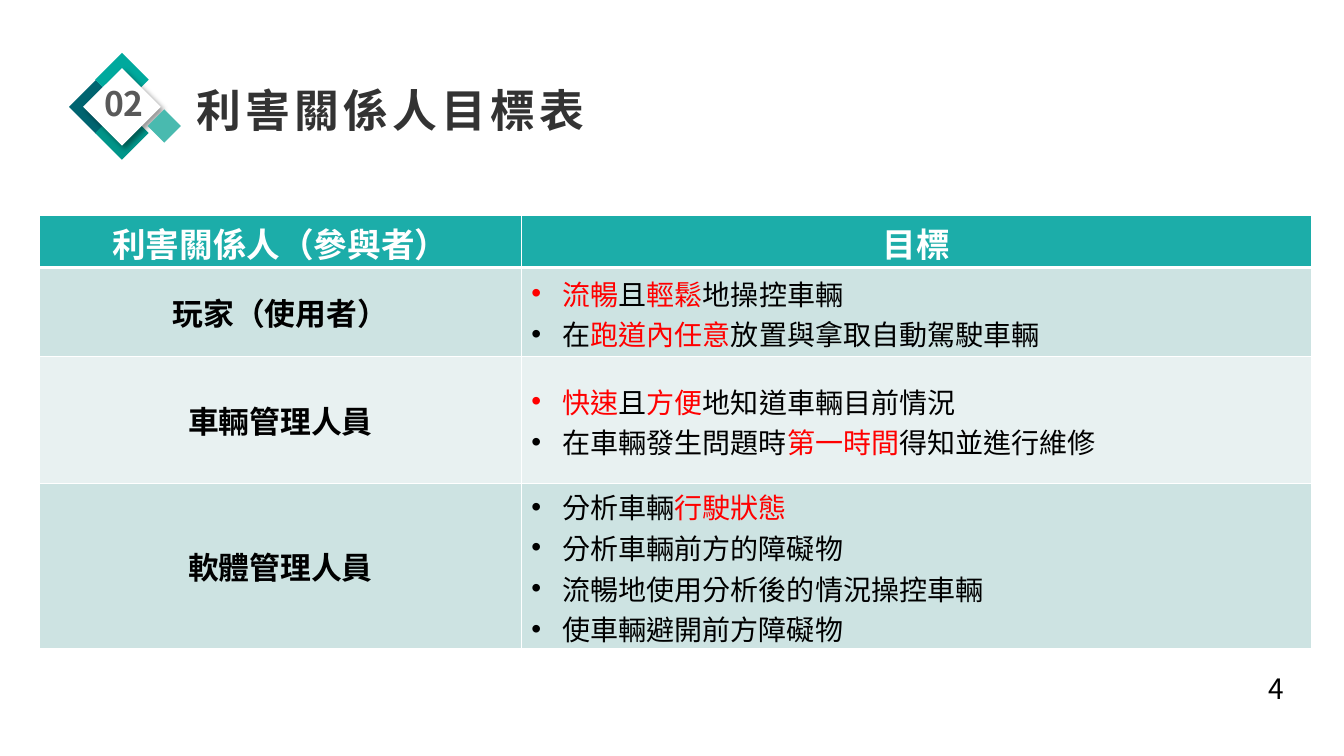
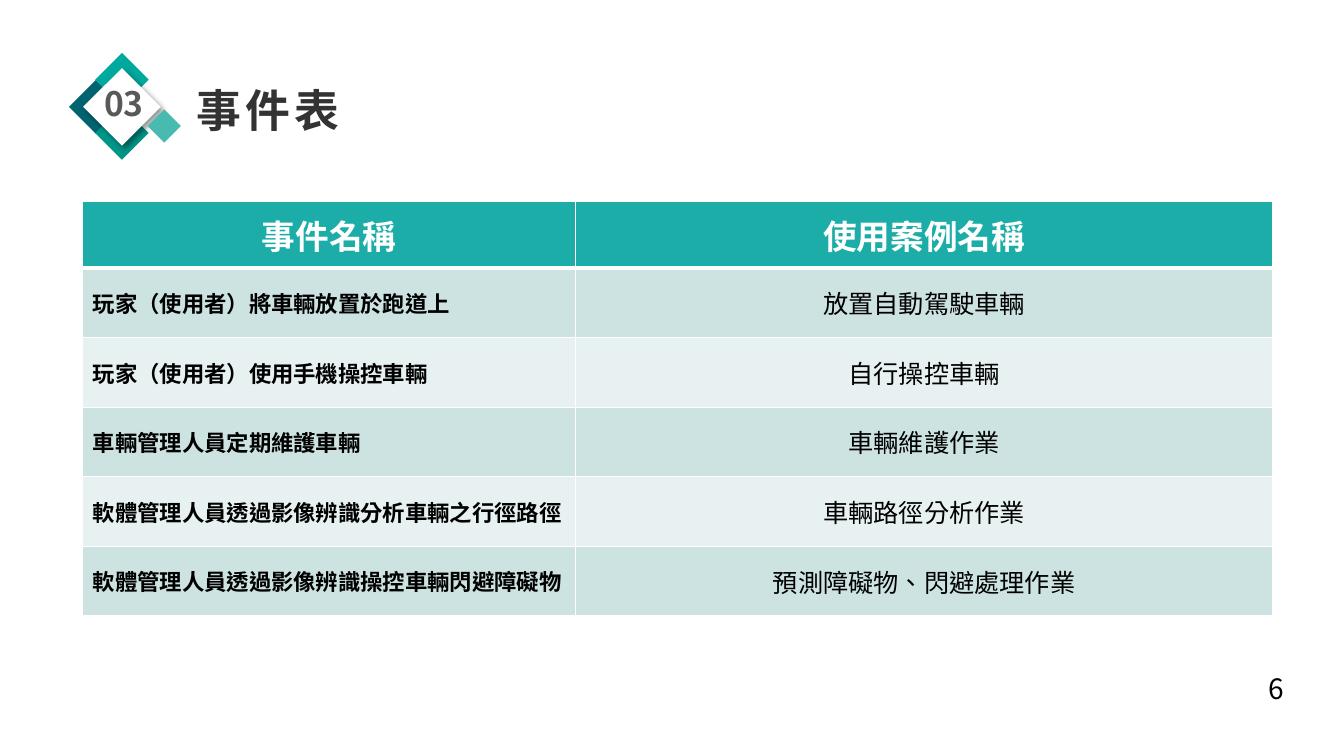
from lxml import etree
from pptx import Presentation
from pptx.dml.color import RGBColor
from pptx.enum import shapes, text
from pptx.oxml import parse_xml
from pptx.oxml.ns import nsdecls, qn
from pptx.util import Inches, Pt

FONT = "Noto Sans CJK SC"
WHITE, BLACK, RED = "FFFFFF", "000000", "FF0000"
TITLE_COLOR, NUMBER_COLOR = "333333", "595959"
HEADER_FILL, BAND_FILLS = "1CADA9", ("CDE3E2", "E8F1F1")
CENTER, LEFT = text.PP_ALIGN.CENTER, text.PP_ALIGN.LEFT
TOP, MIDDLE = text.MSO_ANCHOR.TOP, text.MSO_ANCHOR.MIDDLE

# Emblem diamonds: centre x, centre y, width, fill, shadow
DIAMONDS = [
    (0.95, 1.06, 0.53, "006470", False),
    (1.21, 0.79, 0.53, "00A99D", False),
    (1.21, 1.32, 0.53, "009589", False),
    (1.21, 1.06, 0.77, "FFFFFF", True),
    (1.63, 1.25, 0.33, "49BAAF", False),
]

# Slide content; words between asterisks are red, a list is a bulleted cell
SLIDES = [
    {
        "number": "02", "title": "利害關係人目標表", "page": "4",
        "position": (0.39, 2.14), "columns": (4.78, 7.84),
        "heights": (0.5, 0.88, 1.26, 1.64),
        "header": ("利害關係人（參與者）", "目標"), "header_anchor": TOP,
        "sizes": (22, 20), "alignments": (CENTER, LEFT),
        "tight": True,
        "rows": [
            ("玩家（使用者）", ["*流暢*且*輕鬆*地操控車輛",
                          "在*跑道內任意*放置與拿取自動駕駛車輛"]),
            ("車輛管理人員", ["*快速*且*方便*地知道車輛目前情況",
                        "在車輛發生問題時*第一時間*得知並進行維修"]),
            ("軟體管理人員", ["分析車輛*行駛狀態*", "分析車輛前方的障礙物",
                        "流暢地使用分析後的情況操控車輛", "使車輛避開前方障礙物"]),
        ],
    },
    {
        "number": "03", "title": "事件表", "page": "6",
        "position": (0.82, 2), "columns": (4.89, 6.91),
        "heights": (0.66,) + (0.69,) * 5,
        "header": ("事件名稱", "使用案例名稱"), "header_anchor": MIDDLE,
        "sizes": (16, 18), "alignments": (LEFT, CENTER),
        "tight": False,
        "rows": [
            ("玩家（使用者）將車輛放置於跑道上", "放置自動駕駛車輛"),
            ("玩家（使用者）使用手機操控車輛", "自行操控車輛"),
            ("車輛管理人員定期維護車輛", "車輛維護作業"),
            ("軟體管理人員透過影像辨識分析車輛之行徑路徑", "車輛路徑分析作業"),
            ("軟體管理人員透過影像辨識操控車輛閃避障礙物", "預測障礙物、閃避處理作業"),
        ],
    },
]


def color(value):
    return RGBColor.from_string(value)


def add_run(paragraph, words, size, fill, bold=False, spacing=0):
    run = paragraph.add_run()
    run.text = words
    font = run.font
    font.size, font.bold, font.name = Pt(size), bold, FONT
    font.color.rgb = color(fill)
    properties = run._r.get_or_add_rPr()
    properties.set("lang", "zh-TW")
    if spacing:
        properties.set("spc", str(spacing * 100))
    east_asian = etree.Element(qn("a:ea"), typeface=FONT)
    properties.find(qn("a:latin")).addnext(east_asian)


def add_bullet(paragraph):
    properties = paragraph._p.get_or_add_pPr()
    properties.set("marL", str(Inches(0.31)))
    properties.set("indent", str(-Inches(0.31)))
    etree.SubElement(properties, qn("a:buFont"), typeface="Arial")
    etree.SubElement(properties, qn("a:buChar"), char="•")


def set_frame(frame, margins, anchor=TOP, wrap=True):
    frame.margin_left, frame.margin_top, frame.margin_right, frame.margin_bottom = (
        Inches(margin) for margin in margins)
    frame.vertical_anchor, frame.word_wrap = anchor, wrap
    frame.auto_size = text.MSO_AUTO_SIZE.NONE


def add_label(slide, box, words, size, fill, bold, margins, alignment, wrap=True):
    frame = slide.shapes.add_textbox(*map(Inches, box)).text_frame
    set_frame(frame, margins, wrap=wrap)
    frame.paragraphs[0].alignment = alignment
    add_run(frame.paragraphs[0], words, size, fill, bold)


def add_emblem(slide, number):
    for x, y, width, fill, shadow in DIAMONDS:
        shape = slide.shapes.add_shape(
            shapes.MSO_SHAPE.DIAMOND, Inches(x - width / 2), Inches(y - width / 2),
            Inches(width), Inches(width))
        shape.shadow.inherit = False
        shape.fill.solid()
        shape.fill.fore_color.rgb = color(fill)
        shape.line.fill.background()
        if shadow:
            effects = shape._element.spPr.find(qn("a:effectLst"))
            effects.append(parse_xml(
                f'<a:outerShdw {nsdecls("a")} blurRad="{Pt(4)}" dist="{Pt(3)}" '
                f'dir="2700000" algn="tl" rotWithShape="0"><a:srgbClr val="{BLACK}">'
                '<a:alpha val="40000"/></a:srgbClr></a:outerShdw>'))
    add_label(slide, (0.86, 0.82, 0.74, 0.38), number, 24, NUMBER_COLOR, True,
              (0, 0, 0, 0), CENTER)


def set_title(slide, words):
    title = slide.shapes.title
    title.left, title.top, title.width, title.height = map(
        Inches, (1.85, 0.77, 5.34, 0.64))
    set_frame(title.text_frame, (0.1, 0, 0.1, 0), MIDDLE)
    paragraph = title.text_frame.paragraphs[0]
    paragraph.alignment, paragraph.line_spacing = LEFT, 1.0
    add_run(paragraph, words, 32, TITLE_COLOR, True, spacing=3)


def style_cell(cell, row, fill):
    # Borders come before the fill in the cell properties
    widths = {"lnL": 1, "lnR": 1, "lnT": 3 if row == 1 else 1, "lnB": 3 if row == 0 else 1}
    properties = cell._tc.get_or_add_tcPr()
    for side, width in widths.items():
        properties.append(parse_xml(
            f'<a:{side} {nsdecls("a")} w="{Pt(width)}"><a:solidFill>'
            f'<a:srgbClr val="{WHITE}"/></a:solidFill></a:{side}>'))
    cell.fill.solid()
    cell.fill.fore_color.rgb = color(fill)


def fill_cell(cell, content, size, fill, bold, alignment):
    bulleted = isinstance(content, list)
    for index, line in enumerate(content if bulleted else [content]):
        frame = cell.text_frame
        paragraph = frame.add_paragraph() if index else frame.paragraphs[0]
        if bulleted:
            add_bullet(paragraph)
        paragraph.alignment = alignment
        for part, words in enumerate(line.split("*")):
            if words:
                add_run(paragraph, words, size, RED if part % 2 else fill, bold)


def add_goal_table(slide, content):
    columns, heights = content["columns"], content["heights"]
    table = slide.shapes.add_table(
        len(heights), len(columns), *map(Inches, content["position"]),
        Inches(sum(columns)), Inches(sum(heights))).table
    table.horz_banding = False
    for column, width in zip(table.columns, columns):
        column.width = Inches(width)
    for row, height in zip(table.rows, heights):
        row.height = Inches(height)
    for r, values in enumerate([content["header"]] + content["rows"]):
        for c, value in enumerate(values):
            cell = table.cell(r, c)
            header = r == 0
            style_cell(cell, r, HEADER_FILL if header else BAND_FILLS[(r - 1) % 2])
            cell.vertical_anchor = content["header_anchor"] if header else MIDDLE
            if content["tight"] and (header or c == 1):
                cell.margin_top, cell.margin_bottom = Inches(0.03), 0
            fill_cell(cell, value, 24 if header else content["sizes"][c],
                      WHITE if header else BLACK, header or c == 0,
                      CENTER if header else content["alignments"][c])


def main():
    presentation = Presentation()
    presentation.slide_width, presentation.slide_height = Inches(13.33), Inches(7.5)
    for content in SLIDES:
        slide = presentation.slides.add_slide(presentation.slide_layouts[5])
        add_emblem(slide, content["number"])
        set_title(slide, content["title"])
        add_goal_table(slide, content)
        add_label(slide, (12.48, 6.61, 0.59, 0.44), content["page"], 20, BLACK, False,
                  (0.1, 0.05, 0.1, 0.05), LEFT, wrap=False)
    presentation.save("out.pptx")


if __name__ == "__main__":
    main()
